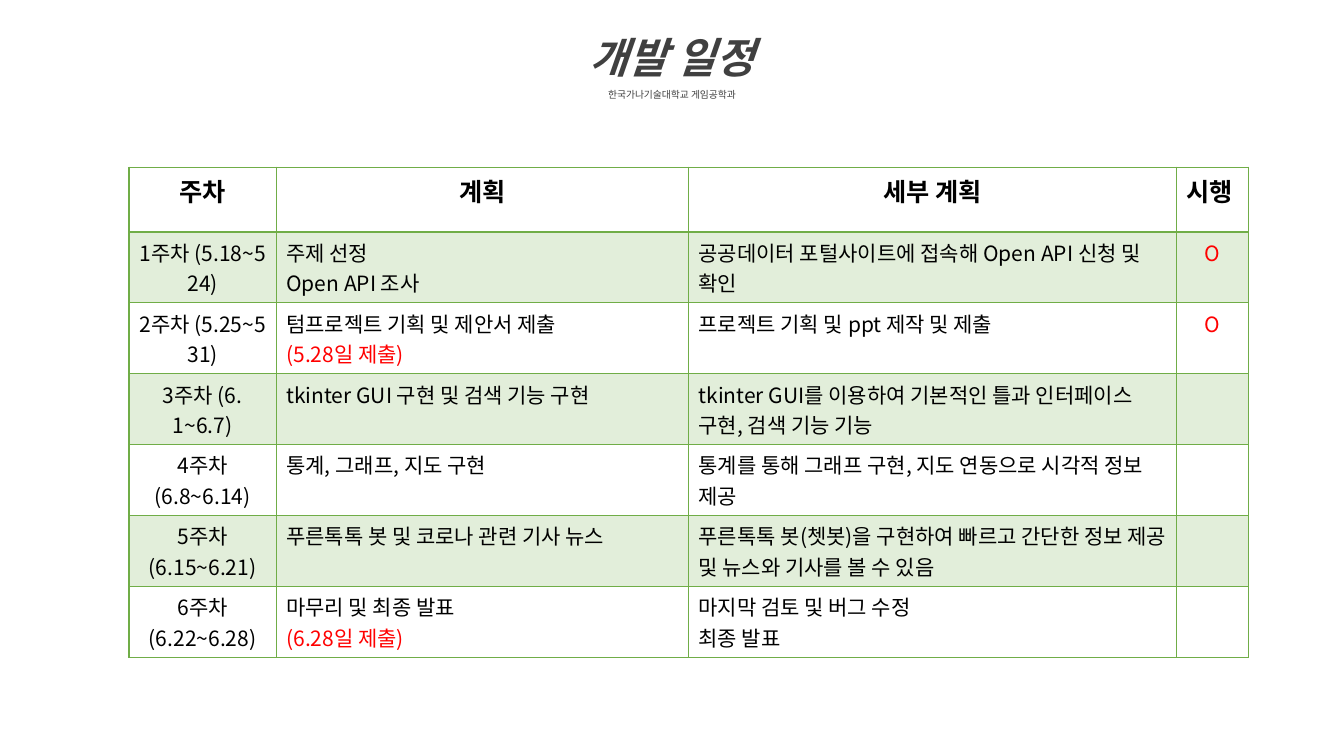
import pptx
import pptx.dml.color
import pptx.enum.shapes
import pptx.enum.text
import pptx.oxml
import pptx.oxml.ns
import pptx.table
import pptx.text.text
import pptx.util
from dataclasses import dataclass

Inches = pptx.util.Inches
CENTER = pptx.enum.text.PP_ALIGN.CENTER
LEFT = pptx.enum.text.PP_ALIGN.LEFT
FONT = "Noto Sans CJK KR"
GREEN, RED, BLACK, GRAY, WHITE = "70AD47", "FF0000", "000000", "404040", "FFFFFF"


@dataclass
class Week:
    period: str
    plan: str
    detail: str
    done: str = ""
    deadline: str = ""


HEADINGS = ("주차", "계획", "세부 계획", "시행")
HEADING_ALIGNS = (CENTER, CENTER, CENTER, LEFT)
WEEK_ALIGNS = (CENTER, LEFT, LEFT, CENTER)
COLUMN_WIDTHS = (1.46, 4.09, 4.84, 0.71)
ROW_HEIGHT = 0.64
WEEKS = [
    Week("1주차 (5.18~5 24)", "주제 선정\nOpen API 조사",
         "공공데이터 포털사이트에 접속해 Open API 신청 및 확인", done="O"),
    Week("2주차 (5.25~5 31)", "텀프로젝트 기획 및 제안서 제출",
         "프로젝트 기획 및 ppt 제작 및 제출", done="O", deadline="(5.28일 제출)"),
    Week("3주차 (6. 1~6.7)", "tkinter GUI 구현 및 검색 기능 구현",
         "tkinter GUI를 이용하여 기본적인 틀과 인터페이스 구현, 검색 기능 기능"),
    Week("4주차 (6.8~6.14)", "통계, 그래프, 지도 구현",
         "통계를 통해 그래프 구현, 지도 연동으로 시각적 정보 제공"),
    Week("5주차 (6.15~6.21)", "푸른톡톡 봇 및 코로나 관련 기사 뉴스",
         "푸른톡톡 봇(쳇봇)을 구현하여 빠르고 간단한 정보 제공 및 뉴스와 기사를 볼 수 있음"),
    Week("6주차 (6.22~6.28)", "마무리 및 최종 발표",
         "마지막 검토 및 버그 수정\n최종 발표", deadline="(6.28일 제출)"),
]


def rgb(color: str) -> pptx.dml.color.RGBColor:
    return pptx.dml.color.RGBColor.from_string(color)


def style_paragraph(paragraph: pptx.text.text._Paragraph, size: float, color: str,
                    align: pptx.enum.text.PP_ALIGN, bold: bool = False,
                    italic: bool = False) -> None:
    paragraph.alignment = align
    for run in paragraph.runs:
        run.font.size = pptx.util.Pt(size)
        run.font.bold = bold
        run.font.italic = italic
        run.font.color.rgb = rgb(color)
        run.font.name = FONT
        east_asian = pptx.oxml.parse_xml(
            f'<a:ea {pptx.oxml.ns.nsdecls("a")} typeface="{FONT}"/>')
        run.font._element.find(pptx.oxml.ns.qn("a:latin")).addnext(east_asian)


def style_cell(cell: pptx.table._Cell, shaded: bool, top: int, bottom: int) -> None:
    """Fill the cell and draw its borders, with top and bottom widths in points."""
    properties = cell._tc.get_or_add_tcPr()
    if shaded:
        cell.fill.solid()
        cell.fill.fore_color.rgb = rgb(GREEN)
        tint = properties.find(".//" + pptx.oxml.ns.qn("a:srgbClr"))
        tint.append(pptx.oxml.parse_xml(
            f'<a:alpha {pptx.oxml.ns.nsdecls("a")} val="20000"/>'))
    else:
        cell.fill.background()
    for place, (side, width) in enumerate(zip("LRTB", (1, 1, top, bottom))):
        properties.insert(place, pptx.oxml.parse_xml(
            f'<a:ln{side} {pptx.oxml.ns.nsdecls("a")} w="{pptx.util.Pt(width)}">'
            f'<a:solidFill><a:srgbClr val="{GREEN}"/></a:solidFill></a:ln{side}>'))


def add_title(slide) -> None:
    banner = slide.shapes.add_shape(pptx.enum.shapes.MSO_SHAPE.RECTANGLE,
                                    0, 0, Inches(13.33), Inches(1.06))
    banner.shadow.inherit = False
    banner.fill.solid()
    banner.fill.fore_color.rgb = rgb(WHITE)
    banner.line.fill.background()
    frame = banner.text_frame
    frame.word_wrap = True
    frame.vertical_anchor = pptx.enum.text.MSO_ANCHOR.MIDDLE
    frame.text = "개발 일정\n한국가나기술대학교 게임공학과"
    title, department = frame.paragraphs
    style_paragraph(title, 30, GRAY, CENTER, bold=True, italic=True)
    style_paragraph(department, 7, GRAY, CENTER)
    for paragraph in frame.paragraphs:
        paragraph.line_spacing = 1.5


def add_schedule(slide) -> None:
    row_count = len(WEEKS) + 1
    schedule = slide.shapes.add_table(
        row_count, len(HEADINGS), Inches(1.28), Inches(1.66),
        Inches(sum(COLUMN_WIDTHS)), Inches(ROW_HEIGHT * row_count)).table
    schedule.horz_banding = False
    for column, width in zip(schedule.columns, COLUMN_WIDTHS):
        column.width = Inches(width)
    for row in schedule.rows:
        row.height = Inches(ROW_HEIGHT)

    # Heading row
    for column, (heading, align) in enumerate(zip(HEADINGS, HEADING_ALIGNS)):
        cell = schedule.cell(0, column)
        cell.text_frame.text = heading
        style_paragraph(cell.text_frame.paragraphs[0], 18, BLACK, align, bold=True)
        style_cell(cell, shaded=False, top=1, bottom=2)

    # Week rows, every other one shaded
    for number, week in enumerate(WEEKS, start=1):
        plan = f"{week.plan}\n{week.deadline}" if week.deadline else week.plan
        texts = (week.period, plan, week.detail, week.done)
        for column, (text, align) in enumerate(zip(texts, WEEK_ALIGNS)):
            cell = schedule.cell(number, column)
            cell.text_frame.text = text
            for paragraph in cell.text_frame.paragraphs:
                marked = paragraph.text in (week.done, week.deadline)
                style_paragraph(paragraph, 15, RED if marked else BLACK, align)
            style_cell(cell, shaded=number % 2 == 1,
                       top=2 if number == 1 else 1, bottom=1)


def main() -> None:
    presentation = pptx.Presentation()
    presentation.slide_width = Inches(13.33)
    presentation.slide_height = Inches(7.5)
    slide = presentation.slides.add_slide(presentation.slide_layouts[6])
    add_schedule(slide)
    add_title(slide)
    presentation.save("out.pptx")


if __name__ == "__main__":
    main()
